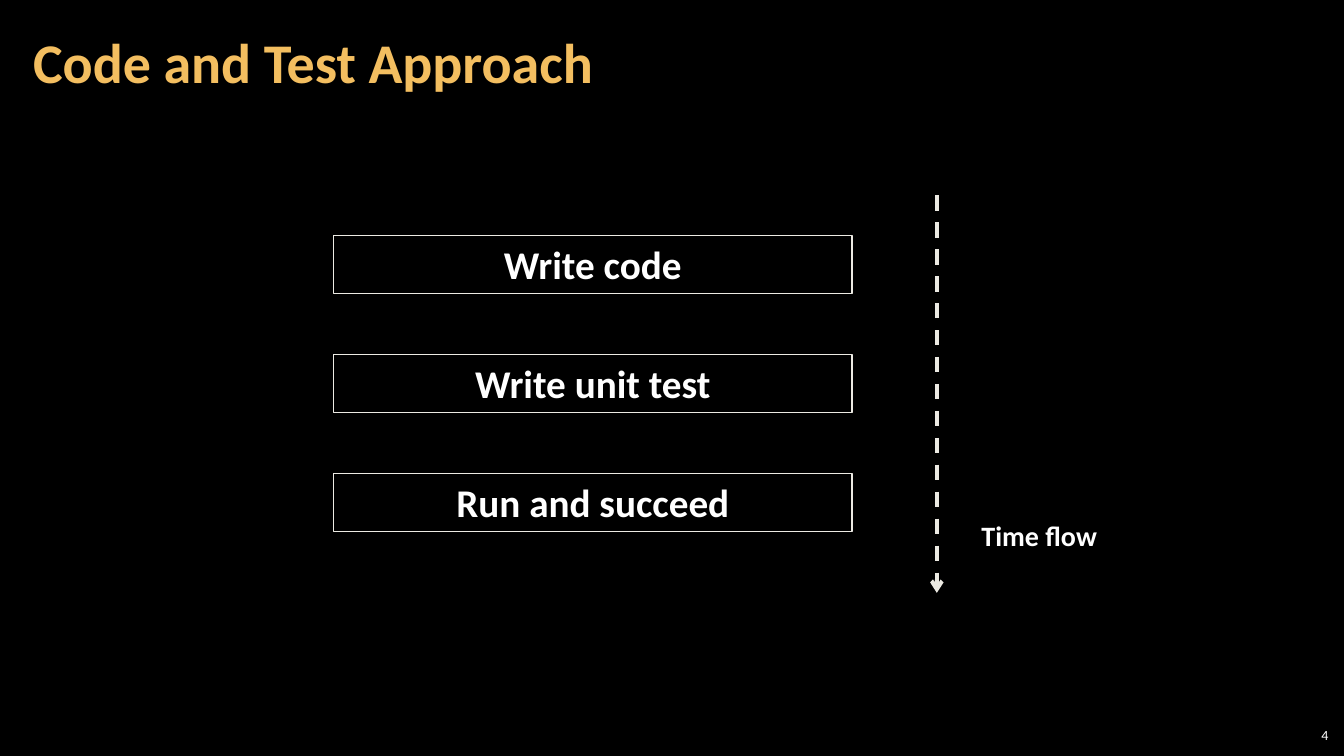
from lxml import etree
from pptx import Presentation
from pptx.dml.color import RGBColor
from pptx.enum import dml, shapes, text
from pptx.oxml import ns
from pptx.util import Pt

TITLE = "Code and Test Approach"
STEPS = ["Write code", "Write unit test", "Run and succeed"]
TIME_LABEL = "Time flow"
SLIDE_NUMBER = "4"

BLACK = RGBColor(0x00, 0x00, 0x00)
WHITE = RGBColor(0xFF, 0xFF, 0xFF)
GOLD = RGBColor(0xF3, 0xBE, 0x60)
IVORY = RGBColor(0xEC, 0xEA, 0xE3)
FONT = "Calibri"

STEP_LEFT, STEP_TOP, STEP_WIDTH, STEP_HEIGHT = 238.2, 168, 370.4, 41.5
STEP_PITCH = 85
ARROW_X, ARROW_TOP, ARROW_BOTTOM = 669.2, 139.5, 423.5


def write(shape, words, size, color, alignment, anchor, bold=True, insets=(7.2, 3.6)):
    frame = shape.text_frame
    frame.word_wrap = True
    frame.vertical_anchor = anchor
    frame.margin_left = frame.margin_right = Pt(insets[0])
    frame.margin_top = frame.margin_bottom = Pt(insets[1])
    paragraph = frame.paragraphs[0]
    paragraph.text = words
    paragraph.alignment = alignment
    paragraph.font.name = FONT
    paragraph.font.size = Pt(size)
    paragraph.font.bold = bold
    paragraph.font.color.rgb = color
    return paragraph


def add_label(slide, box, *style, **options):
    label = slide.shapes.add_textbox(*map(Pt, box))
    return write(label, *style, **options)


def add_step(slide, index, words):
    step = slide.shapes.add_shape(
        shapes.MSO_SHAPE.RECTANGLE, Pt(STEP_LEFT), Pt(STEP_TOP + index * STEP_PITCH),
        Pt(STEP_WIDTH), Pt(STEP_HEIGHT))
    step.shadow.inherit = False
    step.fill.solid()
    step.fill.fore_color.rgb = BLACK
    fill_color = step.fill._xPr.find(ns.qn("a:solidFill"))[0]
    etree.SubElement(fill_color, ns.qn("a:alpha"), val="50000")
    step.line.color.rgb = IVORY
    step.line.width = Pt(0.75)
    write(step, words, 28, WHITE, text.PP_ALIGN.CENTER, text.MSO_ANCHOR.TOP)


def add_time_arrow(slide):
    arrow = slide.shapes.add_connector(
        shapes.MSO_CONNECTOR.STRAIGHT, Pt(ARROW_X), Pt(ARROW_TOP),
        Pt(ARROW_X), Pt(ARROW_BOTTOM))
    arrow.line.color.rgb = IVORY
    arrow.line.width = Pt(2.75)
    arrow.line.dash_style = dml.MSO_LINE.DASH
    etree.SubElement(arrow.line._get_or_add_ln(), ns.qn("a:tailEnd"), type="arrow")
    etree.SubElement(arrow._element.spPr, ns.qn("a:effectLst"))


def main():
    presentation = Presentation()
    presentation.slide_width, presentation.slide_height = Pt(960), Pt(540)
    slide = presentation.slides.add_slide(presentation.slide_layouts[6])
    slide.background.fill.solid()
    slide.background.fill.fore_color.rgb = BLACK

    title = add_label(slide, (15, 3, 754, 87), TITLE, 40, GOLD,
                      text.PP_ALIGN.LEFT, text.MSO_ANCHOR.MIDDLE, insets=(8.64, 2.88))
    title.line_spacing = 0.9
    add_label(slide, (903.6, 516.2, 48.2, 18), SLIDE_NUMBER, 10, WHITE,
              text.PP_ALIGN.RIGHT, text.MSO_ANCHOR.MIDDLE, bold=False, insets=(2.88, 2.88))
    for index, words in enumerate(STEPS):
        add_step(slide, index, words)
    add_time_arrow(slide)
    add_label(slide, (679.7, 366.5, 125.3, 31.7), TIME_LABEL, 20, WHITE,
              text.PP_ALIGN.CENTER, text.MSO_ANCHOR.TOP)
    presentation.save("out.pptx")


if __name__ == "__main__":
    main()
